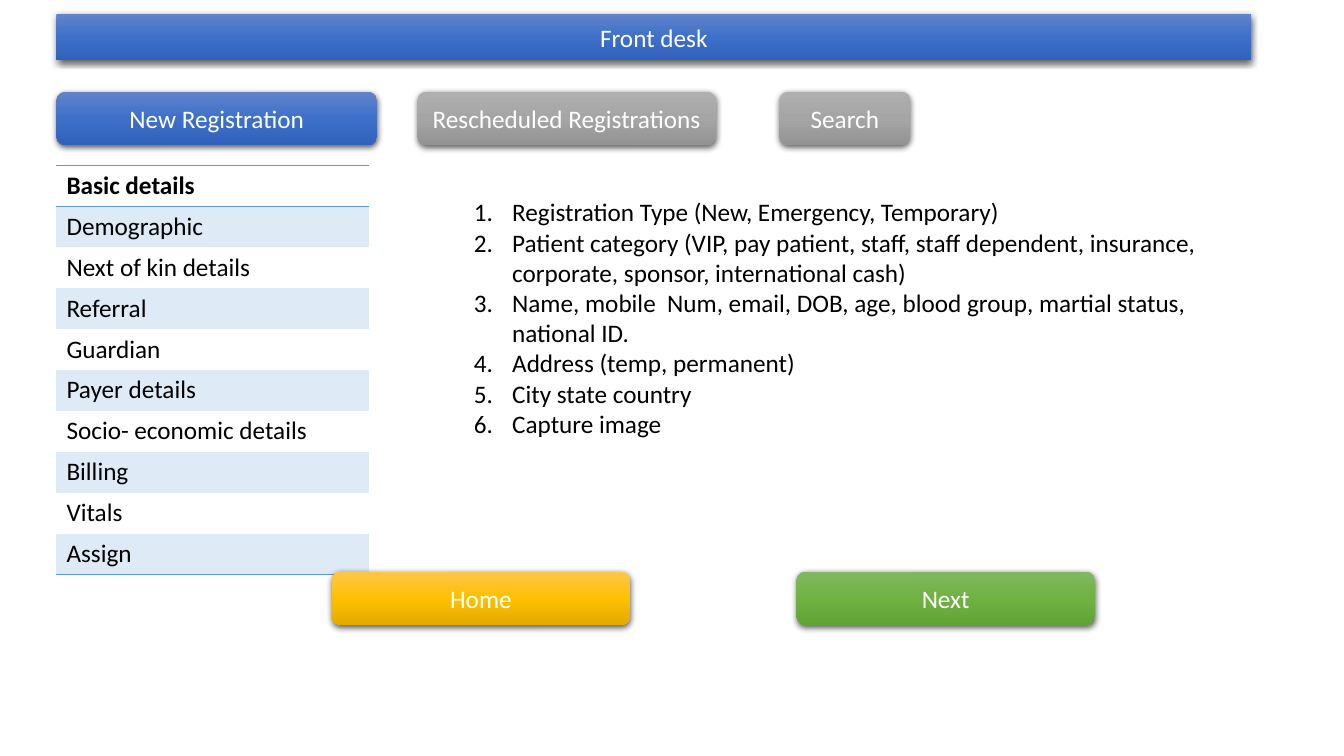
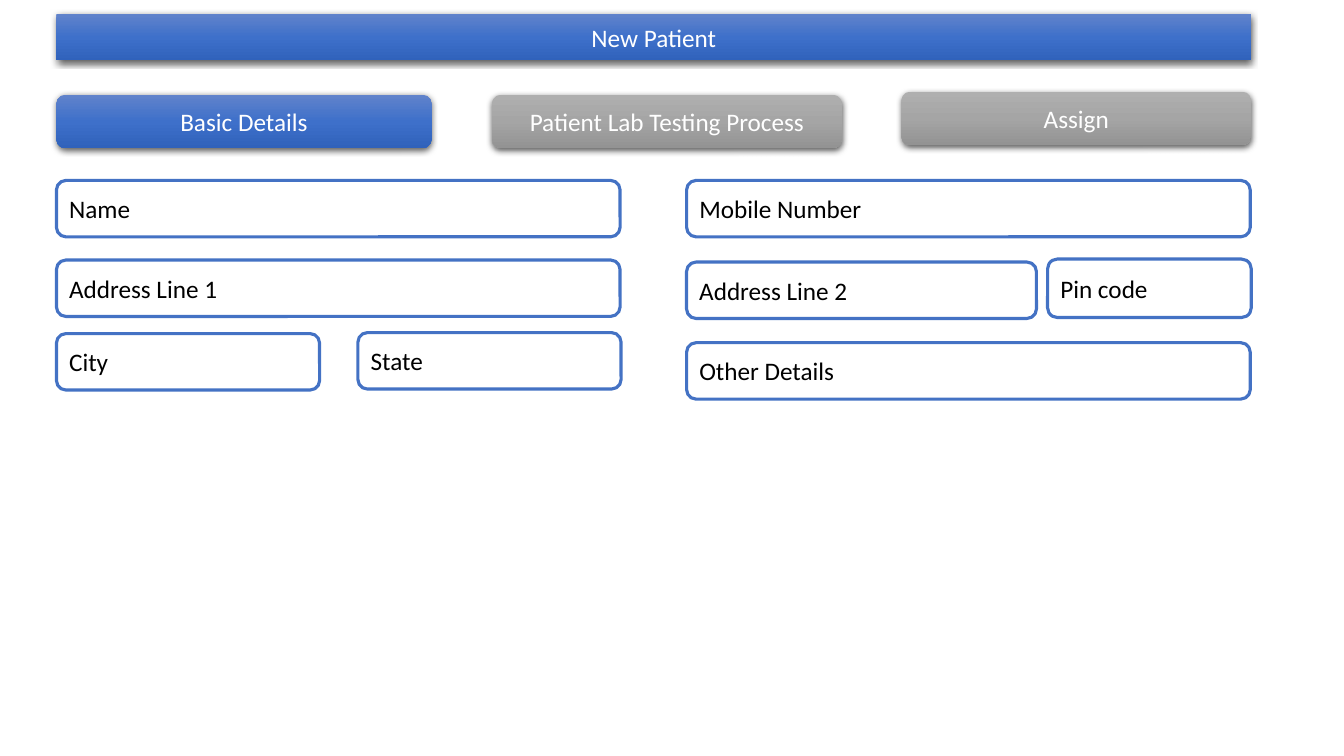
from lxml import etree
from pptx import Presentation
from pptx.dml.color import RGBColor
from pptx.enum.shapes import MSO_SHAPE
from pptx.enum.text import MSO_ANCHOR, MSO_AUTO_SIZE, PP_ALIGN
from pptx.oxml import parse_xml
from pptx.oxml.ns import nsdecls, qn
from pptx.util import Pt

PX = 9144  # 100 px to the inch
FONT = "Calibri"
WHITE = RGBColor(0xFF, 0xFF, 0xFF)
BLACK = RGBColor(0x00, 0x00, 0x00)
FIELD_LINE = RGBColor(0x44, 0x72, 0xC4)
TABLE_LINE = RGBColor(0x5B, 0x9B, 0xD5)
TABLE_BAND = RGBColor(0xDE, 0xEB, 0xF7)

# Gradient colours from top to bottom
BLUE = [RGBColor(0x61, 0x83, 0xCB), RGBColor(0x3E, 0x70, 0xCA), RGBColor(0x30, 0x62, 0xBB)]
GRAY = [RGBColor(0xAF, 0xAF, 0xAF), RGBColor(0xA5, 0xA5, 0xA5), RGBColor(0x93, 0x93, 0x93)]
GOLD = [RGBColor(0xFF, 0xC6, 0x4B), RGBColor(0xFF, 0xC0, 0x00), RGBColor(0xE3, 0xAB, 0x00)]
GREEN = [RGBColor(0x81, 0xB8, 0x61), RGBColor(0x6F, 0xB2, 0x42), RGBColor(0x62, 0xA3, 0x36)]

NO_GRID_STYLE = "{2D5ABB26-0587-4C30-8999-92F81FD0307C}"
BUTTON_H = 53
FIELD_H = 56


def write(p, text, color=BLACK, bold=False, align=PP_ALIGN.LEFT, size=18):
    p.alignment = align
    r = p.add_run()
    r.text = text
    r.font.name = FONT
    r.font.size = Pt(size)
    r.font.bold = bold
    r.font.color.rgb = color


def style_button(sp, text, colors):
    """Give a shape the gradient, soft shadow and white centred label."""
    stops = "".join(
        f'<a:gs pos="{i * 50000}"><a:srgbClr val="{c}"/></a:gs>' for i, c in enumerate(colors))
    sp_pr = sp._element.spPr
    sp_pr.append(parse_xml(
        f'<a:gradFill {nsdecls("a")} rotWithShape="1"><a:gsLst>{stops}</a:gsLst>'
        '<a:lin ang="5400000" scaled="0"/></a:gradFill>'))
    sp.line.fill.background()
    sp_pr.append(parse_xml(
        f'<a:effectLst {nsdecls("a")}><a:outerShdw blurRad="57150" dist="19050" dir="5400000" '
        'algn="ctr" rotWithShape="0"><a:srgbClr val="000000"><a:alpha val="63000"/></a:srgbClr>'
        '</a:outerShdw></a:effectLst>'))
    tf = sp.text_frame
    tf.word_wrap = True
    tf.auto_size = MSO_AUTO_SIZE.NONE
    tf.vertical_anchor = MSO_ANCHOR.MIDDLE
    write(tf.paragraphs[0], text, color=WHITE, align=PP_ALIGN.CENTER)


prs = Presentation()
prs.slide_width = 1333 * PX
prs.slide_height = 750 * PX
front_desk = prs.slides.add_slide(prs.slide_layouts[1])
new_patient = prs.slides.add_slide(prs.slide_layouts[5])

# Title bars
for s, text in [(front_desk, "Front desk"), (new_patient, "New Patient")]:
    sp = s.shapes.title
    sp.left, sp.top, sp.width, sp.height = [v * PX for v in (56, 14, 1185, 46)]
    geom = etree.SubElement(sp._element.spPr, qn("a:prstGeom"), prst="roundRect")
    etree.SubElement(geom, qn("a:avLst"))
    style_button(sp, text, BLUE)

# Tabs and navigation buttons: slide, left, top, width, label, colours
buttons = [
    (front_desk, 56, 91, 318, "New Registration", BLUE),
    (front_desk, 414, 91, 296, "Rescheduled Registrations", GRAY),
    (front_desk, 773, 91, 130, "Search", GRAY),
    (front_desk, 329, 567, 296, "Home", GOLD),
    (front_desk, 790, 567, 296, "Next", GREEN),
    (new_patient, 56, 94, 372, "Basic Details", BLUE),
    (new_patient, 488, 94, 347, "Patient Lab Testing Process", GRAY),
    (new_patient, 894, 91, 347, "Assign", GRAY),
]

# Section menu, placed before the buttons that overlap it
sections = ["Basic details", "Demographic", "Next of kin details", "Referral", "Guardian",
            "Payer details", "Socio- economic details", "Billing", "Vitals", "Assign"]
last = len(sections) - 1
table = front_desk.shapes.add_table(
    len(sections), 1, 56 * PX, 164 * PX, 310 * PX, 406 * PX).table
table._tbl.tblPr.find(qn("a:tableStyleId")).text = NO_GRID_STYLE
for i, text in enumerate(sections):
    cell = table.cell(i, 0)
    edges = {0: ["a:lnT", "a:lnB"], last: ["a:lnB"]}.get(i, [])
    for edge in edges:
        ln = etree.SubElement(cell._tc.get_or_add_tcPr(), qn(edge), w=str(Pt(1)))
        fill = etree.SubElement(ln, qn("a:solidFill"))
        etree.SubElement(fill, qn("a:srgbClr"), val=str(TABLE_LINE))
    if i % 2:
        cell.fill.solid()
        cell.fill.fore_color.rgb = TABLE_BAND
    else:
        cell.fill.background()
    write(cell.text_frame.paragraphs[0], text, bold=i == 0)

for s, x, y, w, text, colors in buttons:
    sp = s.shapes.add_shape(
        MSO_SHAPE.ROUNDED_RECTANGLE, x * PX, y * PX, w * PX, BUTTON_H * PX)
    style_button(sp, text, colors)

# Numbered registration details
details = [
    "Registration Type (New, Emergency, Temporary)",
    "Patient category (VIP, pay patient, staff, staff dependent, insurance, corporate, "
    "sponsor, international cash)",
    "Name, mobile  Num, email, DOB, age, blood group, martial status, national ID.",
    "Address (temp, permanent)",
    "City state country",
    "Capture image",
]
body = front_desk.placeholders[1]
body.left, body.top, body.width, body.height = [v * PX for v in (460, 190, 756, 283)]
tf = body.text_frame
tf.auto_size = MSO_AUTO_SIZE.NONE
tf.vertical_anchor = MSO_ANCHOR.TOP
for i, text in enumerate(details):
    p = tf.add_paragraph() if i else tf.paragraphs[0]
    p_pr = p._p.get_or_add_pPr()
    p_pr.set("marL", str(38 * PX))
    p_pr.set("indent", str(-38 * PX))
    etree.SubElement(p_pr, qn("a:buFont"), typeface="+mj-lt")
    etree.SubElement(p_pr, qn("a:buAutoNum"), type="arabicPeriod")
    p.space_before = Pt(0)
    write(p, text)

# Patient form: left, top, width, height, label
fields = [
    (56, 179, 559, FIELD_H, "Name"),
    (681, 179, 559, FIELD_H, "Mobile Number"),
    (56, 258, 559, FIELD_H, "Address Line 1"),
    (681, 260, 347, FIELD_H, "Address Line 2"),
    (1039, 257, 202, 58, "Pin code"),
    (56, 331, 261, FIELD_H, "City"),
    (355, 330, 261, FIELD_H, "State"),
    (681, 340, 559, FIELD_H, "Other Details"),
]
for *box, text in fields:
    sp = new_patient.shapes.add_shape(MSO_SHAPE.ROUNDED_RECTANGLE, *[v * PX for v in box])
    sp.shadow.inherit = False
    sp.fill.solid()
    sp.fill.fore_color.rgb = WHITE
    sp.line.color.rgb = FIELD_LINE
    sp.line.width = Pt(2.25)
    sp.text_frame.word_wrap = True
    sp.text_frame.vertical_anchor = MSO_ANCHOR.MIDDLE
    write(sp.text_frame.paragraphs[0], text)

prs.save("out.pptx")
